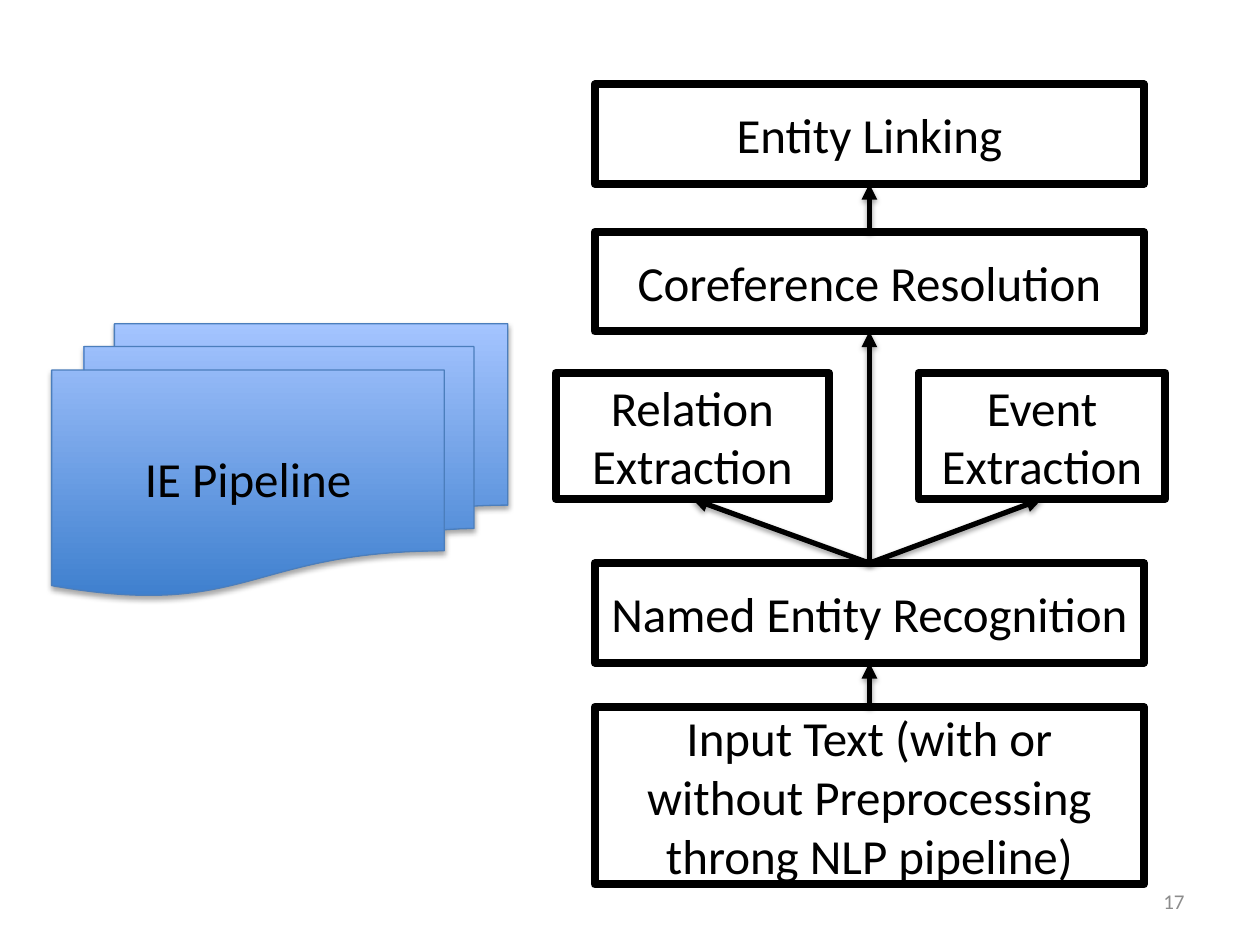
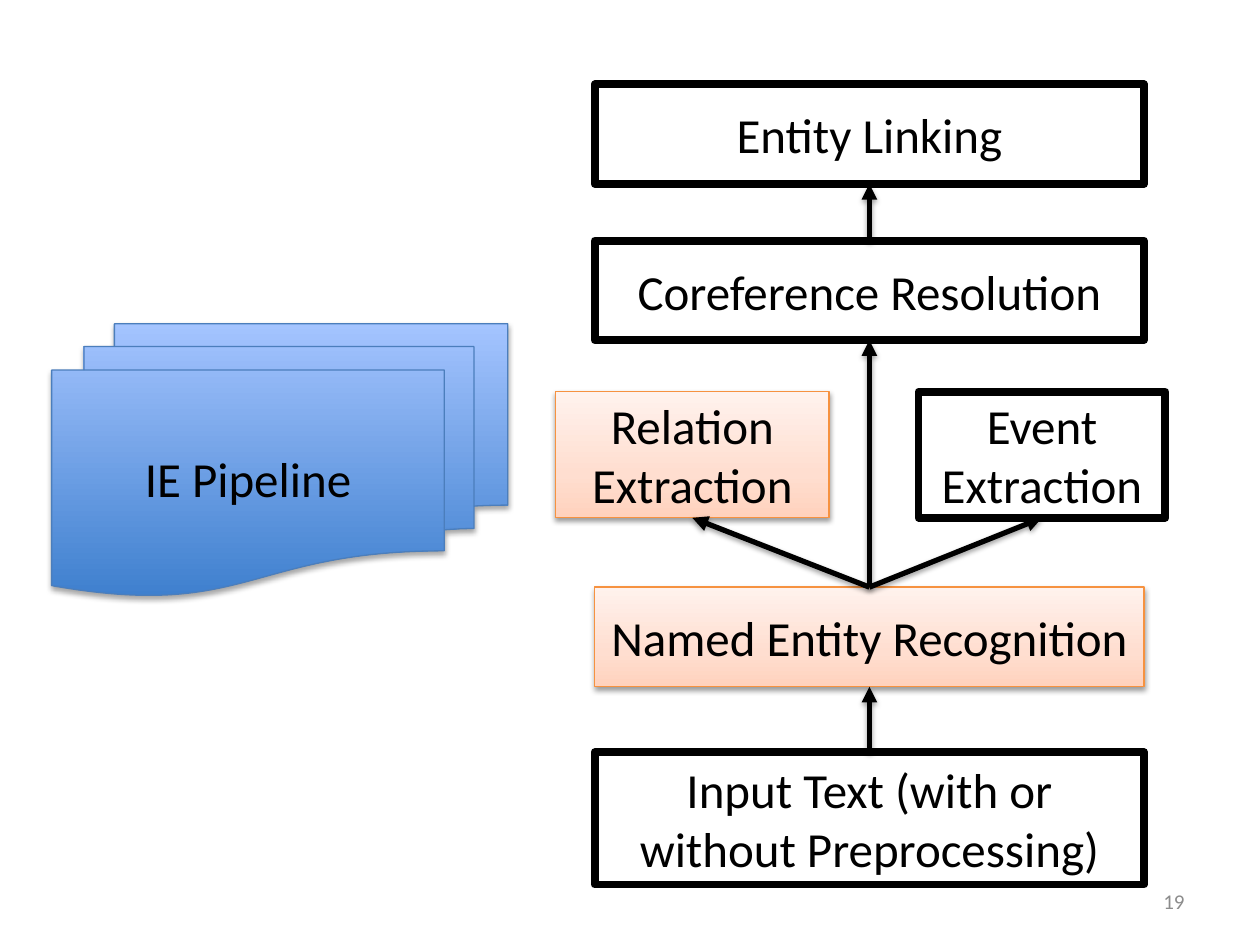
from lxml import etree
from pptx import Presentation
from pptx.dml.color import RGBColor
from pptx.enum.shapes import MSO_CONNECTOR, MSO_SHAPE
from pptx.enum.text import MSO_ANCHOR, PP_ALIGN
from pptx.oxml.ns import qn
from pptx.util import Inches, Pt

RECTANGLE = MSO_SHAPE.RECTANGLE
MULTIDOCUMENT = MSO_SHAPE.FLOWCHART_MULTIDOCUMENT
STRAIGHT = MSO_CONNECTOR.STRAIGHT
MIDDLE = MSO_ANCHOR.MIDDLE
CENTER, RIGHT = PP_ALIGN.CENTER, PP_ALIGN.RIGHT
TOP_SIDE, BOTTOM_SIDE = 0, 2

FONT = "Calibri"
BLACK, WHITE, GRAY = "000000", "FFFFFF", "8C8C8C"
PIPELINE_LINE, HIGHLIGHT_LINE = "4B7EBC", "F69240"
# Gradient stops run from the bottom edge to the top edge: (position, colour)
PIPELINE_STOPS = [(0, "3F80CE"), (100, "A4C4FF")]
HIGHLIGHT_STOPS = [(0, "FFD2BD"), (35, "FFDED0"), (100, "FFF2ED")]

BOX_INSETS = (0.08, 0.04)
NUMBER_INSETS = (0.1, 0.05)

# Column of each stage: left, width
WIDE = (4.72, 4.36)
STAGE_COLUMNS = {
    "Input": WIDE,
    "Relation Extraction": (4.41, 2.17),
    "Event Extraction": (7.29, 1.96),
    "Coreference Resolution": WIDE,
    "Named Entity Recognition": WIDE,
    "Entity Linking": WIDE,
}
ARROWS = [
    ("Input", "Named Entity Recognition"),
    ("Named Entity Recognition", "Relation Extraction"),
    ("Named Entity Recognition", "Coreference Resolution"),
    ("Named Entity Recognition", "Event Extraction"),
    ("Coreference Resolution", "Entity Linking"),
]

# Rows of each slide: top, height of every stage
SLIDES = [
    {
        "number": "17",
        "input": "Input Text (with or without Preprocessing throng NLP pipeline)",
        "highlighted": [],
        "rows": {
            "Input": (5.61, 1.41),
            "Relation Extraction": (2.96, 1),
            "Event Extraction": (2.96, 1),
            "Coreference Resolution": (1.84, 0.79),
            "Named Entity Recognition": (4.47, 0.79),
            "Entity Linking": (0.67, 0.79),
        },
    },
    {
        "number": "19",
        "input": "Input Text (with or without Preprocessing)",
        "highlighted": ["Relation Extraction", "Named Entity Recognition"],
        "rows": {
            "Input": (5.97, 1.05),
            "Relation Extraction": (3.11, 1),
            "Event Extraction": (3.11, 1),
            "Coreference Resolution": (1.91, 0.79),
            "Named Entity Recognition": (4.66, 0.79),
            "Entity Linking": (0.67, 0.79),
        },
    },
]


def rgb(color):
    return RGBColor.from_string(color)


def set_line(shape, color, width):
    shape.line.color.rgb = rgb(color)
    shape.line.width = Pt(width)


def set_gradient(shape, stops):
    shape.fill.gradient()
    shape.fill.gradient_angle = 90
    stop_list = next(shape.element.spPr.iter(qn("a:gsLst")))
    for old_stop in list(stop_list):
        stop_list.remove(old_stop)
    for position, color in stops:
        stop = etree.SubElement(stop_list, qn("a:gs"), pos=str(position * 1000))
        etree.SubElement(stop, qn("a:srgbClr"), val=color)


def add_shadow(shape, opacity=38, distance=1.6):
    """Add a downward shadow; fill and line must be set before."""
    effects = etree.SubElement(shape.element.spPr, qn("a:effectLst"))
    shadow = etree.SubElement(
        effects, qn("a:outerShdw"), blurRad=str(Pt(3.1)), dist=str(Pt(distance)),
        dir="5400000", rotWithShape="0")
    color = etree.SubElement(shadow, qn("a:srgbClr"), val=BLACK)
    etree.SubElement(color, qn("a:alpha"), val=str(opacity * 1000))


def set_text(shape, text, insets, size=28, color=BLACK, alignment=CENTER):
    frame = shape.text_frame
    frame.text = text
    frame.word_wrap = True
    frame.vertical_anchor = MIDDLE
    frame.margin_left = frame.margin_right = Inches(insets[0])
    frame.margin_top = frame.margin_bottom = Inches(insets[1])
    paragraph = frame.paragraphs[0]
    paragraph.alignment = alignment
    font = paragraph.runs[0].font
    font.name, font.size, font.color.rgb = FONT, Pt(size), rgb(color)


def add_stage(slide, text, column, row, highlighted):
    (left, width), (top, height) = column, row
    box = slide.shapes.add_shape(
        RECTANGLE, Inches(left), Inches(top), Inches(width), Inches(height))
    if highlighted:
        set_gradient(box, HIGHLIGHT_STOPS)
        set_line(box, HIGHLIGHT_LINE, 0.75)
        add_shadow(box)
    else:
        box.fill.solid()
        box.fill.fore_color.rgb = rgb(WHITE)
        set_line(box, BLACK, 4.5)
        box.shadow.inherit = False
    set_text(box, text, BOX_INSETS)
    return box


def add_arrow(slide, lower_box, upper_box):
    arrow = slide.shapes.add_connector(STRAIGHT, 0, 0, 0, 0)
    arrow.begin_connect(lower_box, TOP_SIDE)
    arrow.end_connect(upper_box, BOTTOM_SIDE)
    set_line(arrow, BLACK, 3)
    line = arrow.element.spPr.find(qn("a:ln"))
    etree.SubElement(line, qn("a:tailEnd"), type="triangle")
    add_shadow(arrow)


def add_pipeline_documents(slide):
    documents = slide.shapes.add_shape(
        MULTIDOCUMENT, Inches(0.41), Inches(2.57), Inches(3.62), Inches(2.16))
    set_gradient(documents, PIPELINE_STOPS)
    set_line(documents, PIPELINE_LINE, 0.75)
    add_shadow(documents, opacity=35, distance=1.8)
    set_text(documents, "IE Pipeline", NUMBER_INSETS)


def add_slide_number(slide, number):
    box = slide.shapes.add_textbox(
        Inches(7.17), Inches(6.95), Inches(2.33), Inches(0.4))
    set_text(box, number, NUMBER_INSETS, size=12, color=GRAY, alignment=RIGHT)


def build_slide(presentation, content):
    slide = presentation.slides.add_slide(
        presentation.slide_layouts.get_by_name("Blank"))
    boxes = {}
    for stage, column in STAGE_COLUMNS.items():
        text = content["input"] if stage == "Input" else stage
        boxes[stage] = add_stage(slide, text, column, content["rows"][stage],
                                 stage in content["highlighted"])
    for lower, upper in ARROWS:
        add_arrow(slide, boxes[lower], boxes[upper])
    add_pipeline_documents(slide)
    add_slide_number(slide, content["number"])


def main():
    presentation = Presentation()
    presentation.slide_width = Inches(10)
    presentation.slide_height = Inches(7.5)
    for content in SLIDES:
        build_slide(presentation, content)
    presentation.save("out.pptx")


if __name__ == "__main__":
    main()
